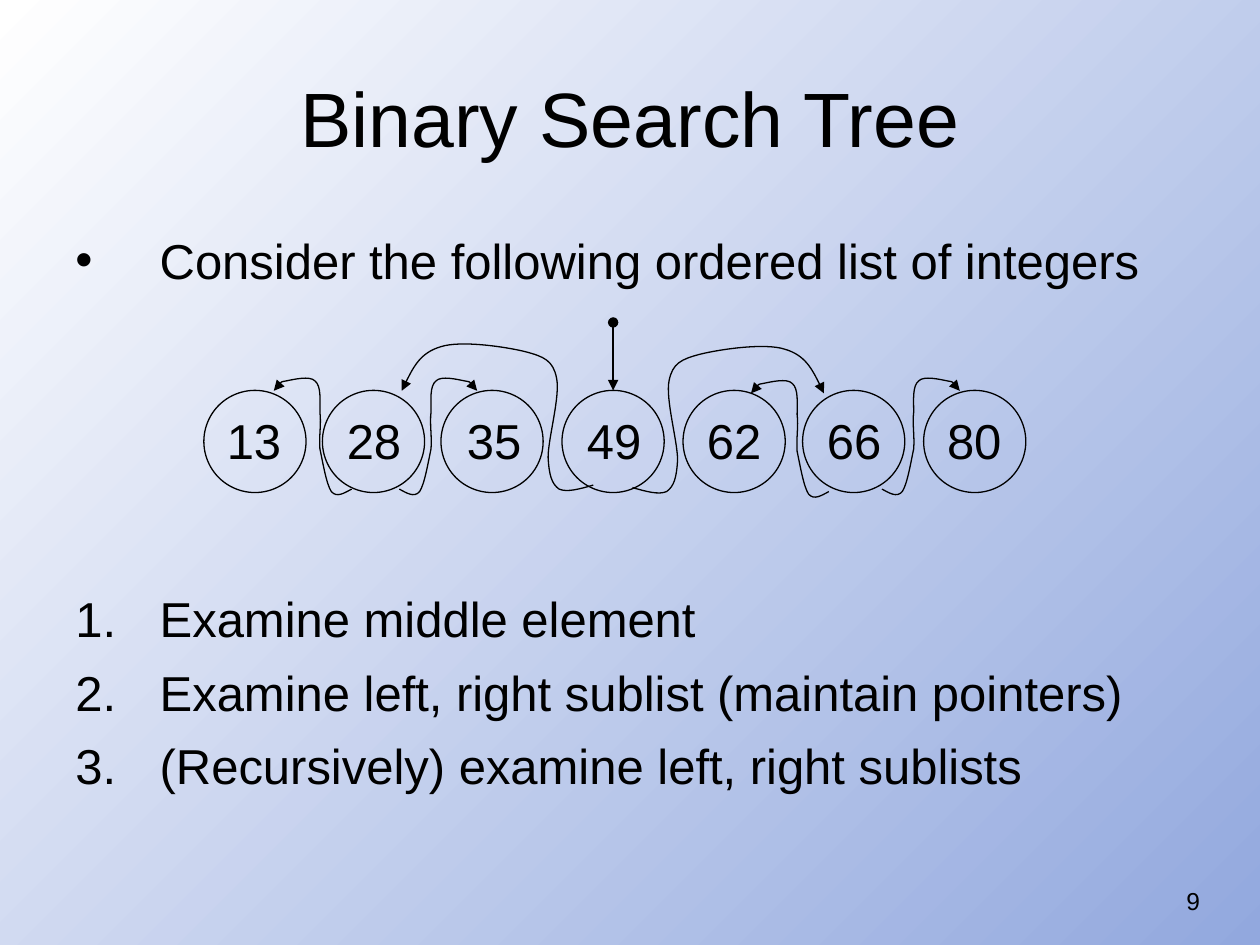
from lxml.etree import SubElement
from pptx import Presentation
from pptx.dml.color import RGBColor
from pptx.enum.shapes import MSO_CONNECTOR as Connector, MSO_SHAPE as Shape
from pptx.enum.text import MSO_ANCHOR as Anchor, PP_ALIGN as Align
from pptx.oxml.ns import qn
from pptx.util import Cm, Pt

TITLE = "Binary Search Tree"
PAGE_NUMBER = "9"
INTRO = "Consider the following ordered list of integers"
STEPS = [
    "Examine middle element",
    "Examine left, right sublist (maintain pointers)",
    "(Recursively) examine left, right sublists",
]
NODES = [("13", 4.11), ("28", 6.5), ("35", 8.89), ("49", 11.33),
         ("62", 13.77), ("66", 16.18), ("80", 18.62)]
ROOT = "49"
NODE_TOP, NODE_SIZE = 7.87, 2.06
LABEL_LEFT, LABEL_STEP = 3.91, 2.42
LONG_CURVE = [
    (0.28, 0.08), (0.53, 0.15), (0.69, 0.08),
    (0.84, -0.03), (0.89, -0.2), (0.91, -0.56),
    (0.91, -0.94), (0.66, -1.8), (0.74, -2.16),
    (0.81, -2.51), (0.99, -2.59), (1.37, -2.69),
    (1.78, -2.79), (2.67, -2.92), (3.07, -2.79),
    (3.48, -2.67), (3.68, -2.29), (3.86, -1.9),
]
SHORT_CURVE = [
    (0.15, 0.08), (0.3, 0.18), (0.41, 0.05),
    (0.51, -0.1), (0.58, -0.53), (0.64, -0.81),
    (0.66, -1.07), (0.61, -1.32), (0.64, -1.55),
    (0.64, -1.78), (0.61, -2.08), (0.74, -2.18),
    (0.84, -2.29), (1.17, -2.21), (1.32, -2.18),
    (1.45, -2.16), (1.52, -2.06), (1.57, -1.98),
]
LEFT, RIGHT = -1, 1
CHILD_POINTERS = [
    (11.96, 9.78, LEFT, LONG_CURVE),
    (12.75, 9.83, RIGHT, LONG_CURVE),
    (8.05, 9.86, RIGHT, SHORT_CURVE),
    (17.78, 9.86, RIGHT, SHORT_CURVE),
    (7.09, 9.86, LEFT, SHORT_CURVE),
    (16.71, 9.91, LEFT, SHORT_CURVE),
]
BLACK = "000000"
FONT = "Arial"


def color(value):
    return RGBColor.from_string(value)


def add_text(slide, box, lines, size, align=Align.LEFT, anchor=Anchor.TOP):
    frame = slide.shapes.add_textbox(*map(Cm, box)).text_frame
    frame.word_wrap = True
    frame.vertical_anchor = anchor
    frame.text = "\n".join(lines)
    for paragraph in frame.paragraphs:
        paragraph.alignment = align
        for run in paragraph.runs:
            run.font.name = FONT
            run.font.size = Pt(size)
            run.font.color.rgb = color(BLACK)
    return frame.paragraphs


def add_bullet(paragraph, kind, **marker):
    properties = paragraph._p.get_or_add_pPr()
    indent = Cm(1.7)
    properties.set("marL", str(indent))
    properties.set("indent", str(-indent))
    SubElement(properties, qn("a:buFont"), typeface=FONT)
    SubElement(properties, qn(kind), **marker)


def style_line(shape, **ends):
    shape.line.color.rgb = color(BLACK)
    shape.line.width = Pt(0.75)
    outline = shape._element.spPr.find(qn("a:ln"))
    for end, arrow in ends.items():
        SubElement(outline, qn(f"a:{end}"), type=arrow)


def add_node(slide, left):
    node = slide.shapes.add_shape(
        Shape.OVAL, Cm(left), Cm(NODE_TOP), Cm(NODE_SIZE), Cm(NODE_SIZE))
    node.shadow.inherit = False
    node.fill.background()
    style_line(node)
    return node


def add_root_pointer(slide, node):
    center = node.left + node.width // 2
    pointer = slide.shapes.add_connector(
        Connector.STRAIGHT, center, Cm(6.5), center, node.top)
    pointer.end_connect(node, 0)
    style_line(pointer, headEnd="oval", tailEnd="triangle")
    SubElement(pointer._element.spPr, qn("a:effectLst"))


def add_child_pointer(slide, x, y, direction, curve):
    builder = slide.shapes.build_freeform(Cm(x), Cm(y))
    builder.add_line_segments(
        [(Cm(x + direction * dx), Cm(y + dy)) for dx, dy in curve], close=False)
    pointer = builder.convert_to_shape()
    pointer.shadow.inherit = False
    pointer.fill.background()
    style_line(pointer, tailEnd="triangle")
    segments = list(pointer._element.iter(qn("a:lnTo")))
    outline = segments[0].getparent()
    for first in range(0, len(segments), 3):
        bezier = SubElement(outline, qn("a:cubicBezTo"))
        for segment in segments[first:first + 3]:
            bezier.append(segment[0])
            outline.remove(segment)


def main():
    deck = Presentation()
    deck.slide_width, deck.slide_height = Cm(25.4), Cm(19.05)
    slide = deck.slides.add_slide(deck.slide_layouts[6])

    backdrop = slide.background.fill
    backdrop.gradient()
    backdrop.gradient_angle = 315
    for stop, shade in zip(backdrop.gradient_stops, ("FFFFFF", "92A8DE")):
        stop.color.rgb = color(shade)

    add_text(slide, (18.52, 17.73, 5.92, 1.32), [PAGE_NUMBER], 14, Align.RIGHT)
    add_text(slide, (1.27, 0.76, 22.86, 3.18), [TITLE], 44, Align.CENTER, Anchor.MIDDLE)

    intro, *steps = add_text(slide, (1.27, 4.52, 24.13, 13.18), [INTRO, *STEPS], 28)
    add_bullet(intro, "a:buChar", char="•")
    for step in steps:
        step.space_before = Pt(8.4)
        add_bullet(step, "a:buAutoNum", type="arabicPeriod")
    steps[0].space_before = Pt(171)

    for index, (value, left) in enumerate(NODES):
        label_left = LABEL_LEFT + index * LABEL_STEP
        add_text(slide, (label_left, 8.15, LABEL_STEP, 1.6), [value], 28, Align.CENTER)
        node = add_node(slide, left)
        if value == ROOT:
            add_root_pointer(slide, node)

    for pointer in CHILD_POINTERS:
        add_child_pointer(slide, *pointer)

    deck.save("out.pptx")


if __name__ == "__main__":
    main()
